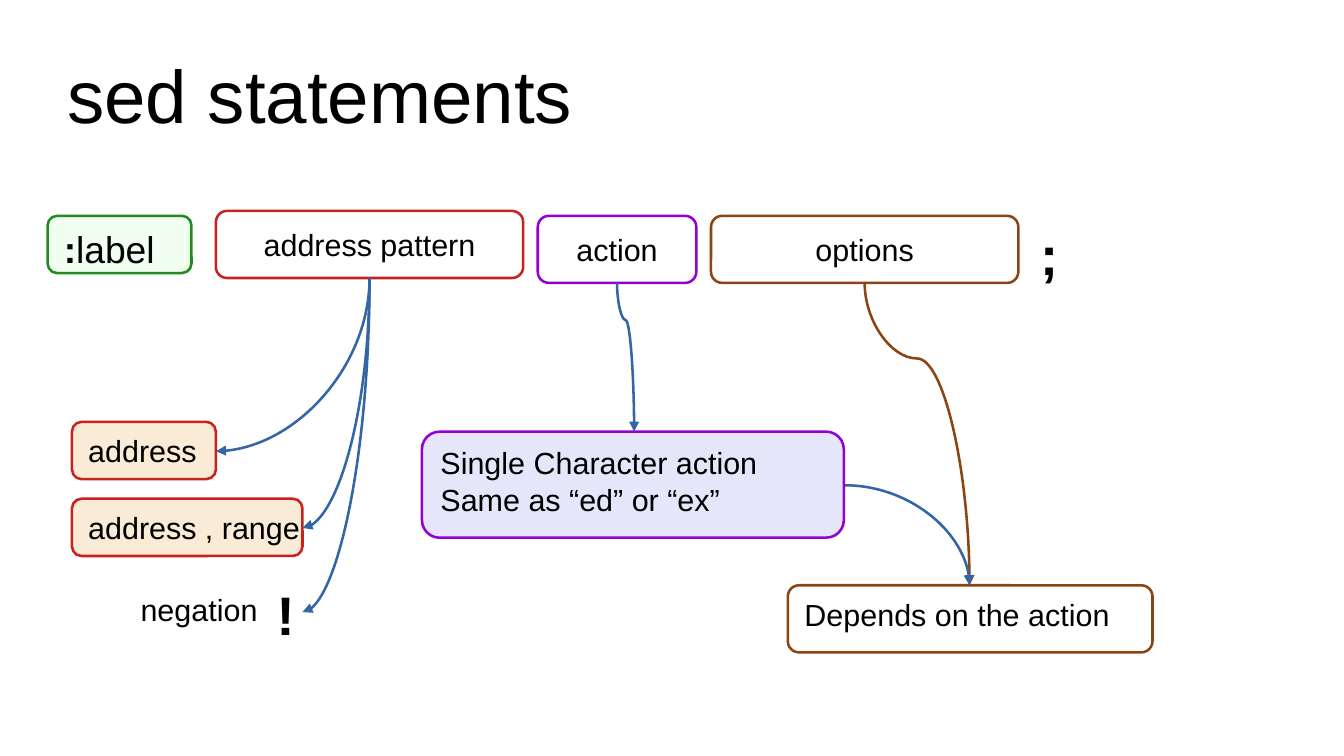
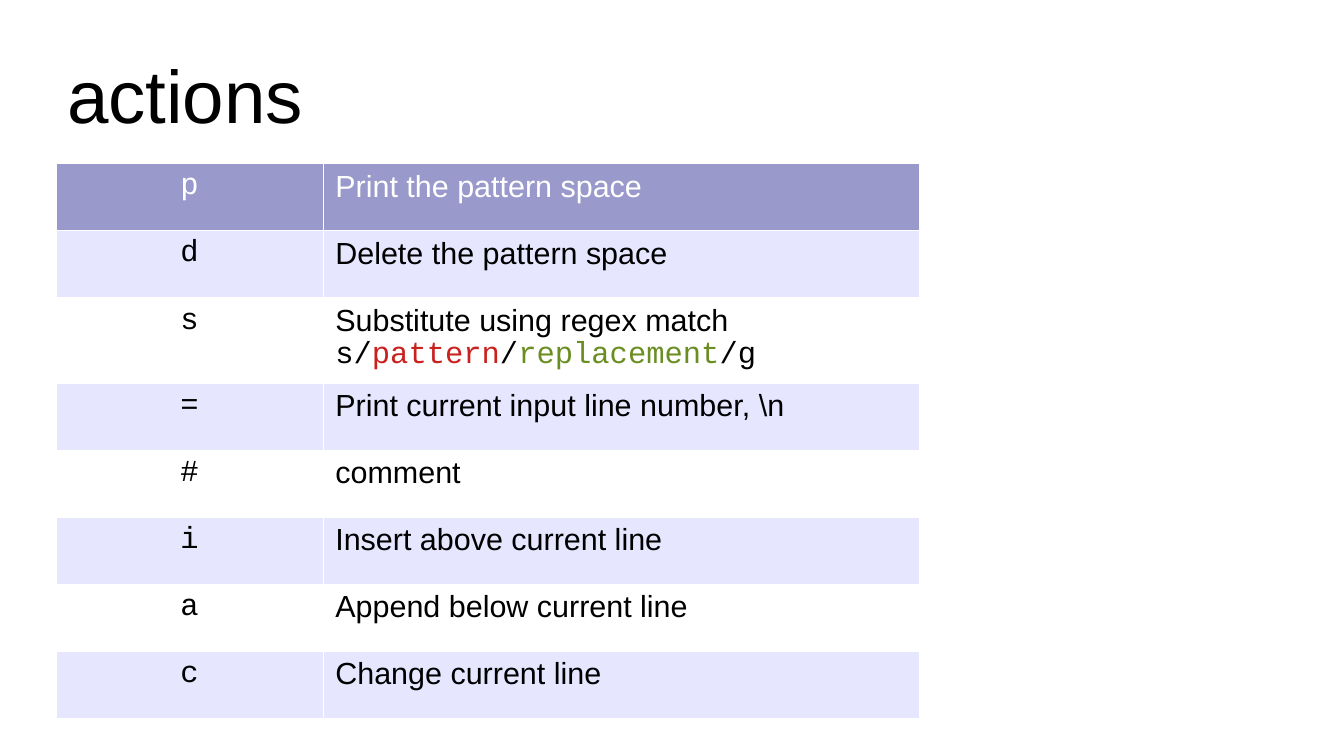
from lxml.etree import SubElement
from pptx import Presentation
from pptx.dml.color import RGBColor
from pptx.enum.shapes import MSO_CONNECTOR, MSO_SHAPE
from pptx.enum.text import MSO_ANCHOR, PP_ALIGN
from pptx.oxml.ns import qn
from pptx.util import Inches, Pt

BLACK = RGBColor(0x00, 0x00, 0x00)
WHITE = RGBColor(0xFF, 0xFF, 0xFF)
RED = RGBColor(0xC9, 0x21, 0x1E)
VIOLET = RGBColor(0x94, 0x00, 0xD3)
BROWN = RGBColor(0x8B, 0x45, 0x13)
GREEN = RGBColor(0x22, 0x8B, 0x22)
OLIVE = RGBColor(0x6B, 0x8E, 0x23)
BLUE = RGBColor(0x34, 0x65, 0xA4)
CREAM = RGBColor(0xFA, 0xEB, 0xD7)
LAVENDER = RGBColor(0xE6, 0xE6, 0xFA)
HONEYDEW = RGBColor(0xF0, 0xFF, 0xF0)
HEADER_FILL = RGBColor(0x99, 0x99, 0xCC)
BAND_FILL = RGBColor(0xE6, 0xE6, 0xFF)

SANS = "Arial"
MONO = "Courier New"
TITLE_ONLY = 5


def style_font(font, size=18, color=BLACK, name=SANS, bold=False):
    font.name = name
    font.size = Pt(size)
    font.bold = bold
    font.color.rgb = color


def set_margins(frame, across, down):
    frame.margin_left = frame.margin_right = Inches(across)
    frame.margin_top = frame.margin_bottom = Inches(down)


class Deck:
    def __init__(self, width, height):
        self.presentation = Presentation()
        self.presentation.slide_width = Inches(width)
        self.presentation.slide_height = Inches(height)
        self.page = None

    def add_page(self, title):
        layout = self.presentation.slide_layouts[TITLE_ONLY]
        self.page = self.presentation.slides.add_slide(layout)
        box = self.page.shapes.title
        box.left, box.top = Inches(0.55), Inches(0.25)
        box.width, box.height = Inches(9.92), Inches(1.04)
        frame = box.text_frame
        frame.text = title
        frame.vertical_anchor = MSO_ANCHOR.MIDDLE
        set_margins(frame, 0, 0)
        frame.paragraphs[0].alignment = PP_ALIGN.LEFT
        style_font(frame.paragraphs[0].font, 44)

    def add_box(self, place, text, line, fill=None, centered=False, size=18):
        """Draw a rounded box; each line of the text is a paragraph."""
        box = self.page.shapes.add_shape(
            MSO_SHAPE.ROUNDED_RECTANGLE, *map(Inches, place))
        box.shadow.inherit = False
        box.line.color.rgb = line
        box.line.width = Pt(1.5)
        if fill is None:
            box.fill.background()
        else:
            box.fill.solid()
            box.fill.fore_color.rgb = fill
        frame = box.text_frame
        frame.text = text
        frame.word_wrap = False
        frame.vertical_anchor = MSO_ANCHOR.MIDDLE if centered else MSO_ANCHOR.TOP
        set_margins(frame, 0.11, 0.06)
        for para in frame.paragraphs:
            para.alignment = PP_ALIGN.CENTER if centered else PP_ALIGN.LEFT
            style_font(para.font, size)
        return box

    def add_text(self, place, text, size=18, bold=False, align=PP_ALIGN.LEFT):
        frame = self.page.shapes.add_textbox(*map(Inches, place)).text_frame
        frame.text = text
        frame.word_wrap = True
        para = frame.paragraphs[0]
        para.alignment = align
        style_font(para.font, size, bold=bold)

    def add_curve(self, start, end, color=BLUE, bend=None, downward=True):
        """Draw a curved arrow; bend is the share of the drop before an S turn.

        A downward curve is a sideways one turned a quarter about its centre.
        """
        (x1, y1), (x2, y2) = start, end
        turn = 0
        if downward:
            turn = 90 if x2 < x1 else 270
            middle_x, middle_y = (x1 + x2) / 2, (y1 + y2) / 2
            half_width, half_height = abs(y2 - y1) / 2, abs(x2 - x1) / 2
            side = 1 if x2 < x1 else -1
            x1, x2 = middle_x - side * half_width, middle_x + side * half_width
            y1, y2 = middle_y - half_height, middle_y + half_height
        curve = self.page.shapes.add_connector(
            MSO_CONNECTOR.CURVE, *map(Inches, (x1, y1, x2, y2)))
        curve.line.color.rgb = color
        curve.line.width = Pt(1.5)
        properties = curve.element.spPr
        properties.find(qn("a:xfrm")).set("rot", str(turn * 60000))
        geometry = properties.find(qn("a:prstGeom"))
        if bend is None:
            geometry.set("prst", "curvedConnector2")
        else:
            SubElement(geometry.find(qn("a:avLst")), qn("a:gd"),
                       name="adj1", fmla=f"val {round(bend * 100000)}")
        SubElement(properties.find(qn("a:ln")), qn("a:tailEnd"), type="triangle")
        SubElement(properties, qn("a:effectLst"))

    def add_action_table(self, left, top, widths, row_heights, rows):
        """Fill a two-column table; a description is a list of (text, font, color)."""
        table = self.page.shapes.add_table(
            len(rows), len(widths), Inches(left), Inches(top),
            Inches(sum(widths)), Inches(sum(row_heights))).table
        table.first_row = table.horz_banding = False
        for column, width in zip(table.columns, widths):
            column.width = Inches(width)
        for index, (key, description) in enumerate(rows):
            table.rows[index].height = Inches(row_heights[index])
            fill = BAND_FILL if index % 2 else WHITE
            color = BLACK
            if index == 0:
                fill, color = HEADER_FILL, WHITE
            if isinstance(description, str):
                description = [(description, SANS, color)]
            key_cell, text_cell = table.cell(index, 0), table.cell(index, 1)
            self.fill_cell(key_cell, [(key, MONO, color)], fill, PP_ALIGN.CENTER)
            self.fill_cell(text_cell, description, fill, PP_ALIGN.LEFT)

    def fill_cell(self, cell, spans, fill, align):
        properties = cell._tc.get_or_add_tcPr()
        for edge in ("a:lnL", "a:lnR", "a:lnT", "a:lnB"):
            border = SubElement(properties, qn(edge), w="720")
            paint = SubElement(border, qn("a:solidFill"))
            SubElement(paint, qn("a:srgbClr"), val=str(WHITE))
        cell.fill.solid()
        cell.fill.fore_color.rgb = fill
        set_margins(cell, 0.1, 0.05)
        para = cell.text_frame.paragraphs[0]
        para.alignment = align
        for text, name, color in spans:
            span = para.add_run()
            span.text = text
            style_font(span.font, color=color, name=name)


def build_statements(deck):
    deck.add_page("sed statements")
    deck.add_box((1.77, 1.73, 2.52, 0.55), "address pattern", RED, centered=True)
    deck.add_box((4.41, 1.77, 1.3, 0.55), "action", VIOLET, centered=True)
    deck.add_box((5.83, 1.77, 2.52, 0.55), "options", BROWN, centered=True)
    deck.add_text((8.43, 1.77, 0.31, 0.6), ";", 32, bold=True)

    deck.add_box((0.59, 3.46, 1.18, 0.47), "address", RED, CREAM)
    deck.add_box((0.59, 4.09, 1.89, 0.47), "address , range", RED, CREAM)
    deck.add_text((0.71, 4.8, 1.5, 0.38), "negation", align=PP_ALIGN.RIGHT)
    deck.add_text((2.17, 4.72, 0.31, 0.6), "!", 32, bold=True)
    deck.add_box((3.46, 3.54, 3.46, 0.87),
                 "Single Character action\nSame as “ed” or “ex”", VIOLET, LAVENDER)
    deck.add_box((6.46, 4.8, 2.99, 0.55), "Depends on the action", BROWN, WHITE)

    for end in ((1.77, 3.7), (2.48, 4.33), (2.48, 5.02)):
        deck.add_curve((3.03, 2.28), end)
    deck.add_curve((5.06, 2.32), (5.2, 3.54), bend=0.25)
    deck.add_curve((7.09, 2.32), (7.95, 4.8), BROWN, bend=0.25)
    deck.add_curve((6.93, 3.98), (7.95, 4.8), downward=False)

    label = deck.add_box((0.39, 1.77, 1.18, 0.47), ":", GREEN, HONEYDEW, size=22)
    para = label.text_frame.paragraphs[0]
    para.runs[0].font.bold = True
    para.add_run().text = "label"


def build_actions(deck):
    deck.add_page("actions")
    substitute = [
        ("Substitute using regex match ", SANS, BLACK),
        ("s/", MONO, BLACK),
        ("pattern", MONO, RED),
        ("/", MONO, BLACK),
        ("replacement", MONO, OLIVE),
        ("/g", MONO, BLACK),
    ]
    rows = [
        ("p", "Print the pattern space"),
        ("d", "Delete the pattern space"),
        ("s", substitute),
        ("=", "Print current input line number, \\n"),
        ("#", "comment"),
        ("i", "Insert above current line"),
        ("a", "Append below current line"),
        ("c", "Change current line"),
    ]
    heights = [0.7 if text is substitute else 0.55 for _, text in rows]
    deck.add_action_table(0.46, 1.34, (2.19, 4.89), heights, rows)


def main():
    deck = Deck(11.02, 6.2)
    build_statements(deck)
    build_actions(deck)
    deck.presentation.save("out.pptx")


if __name__ == "__main__":
    main()
